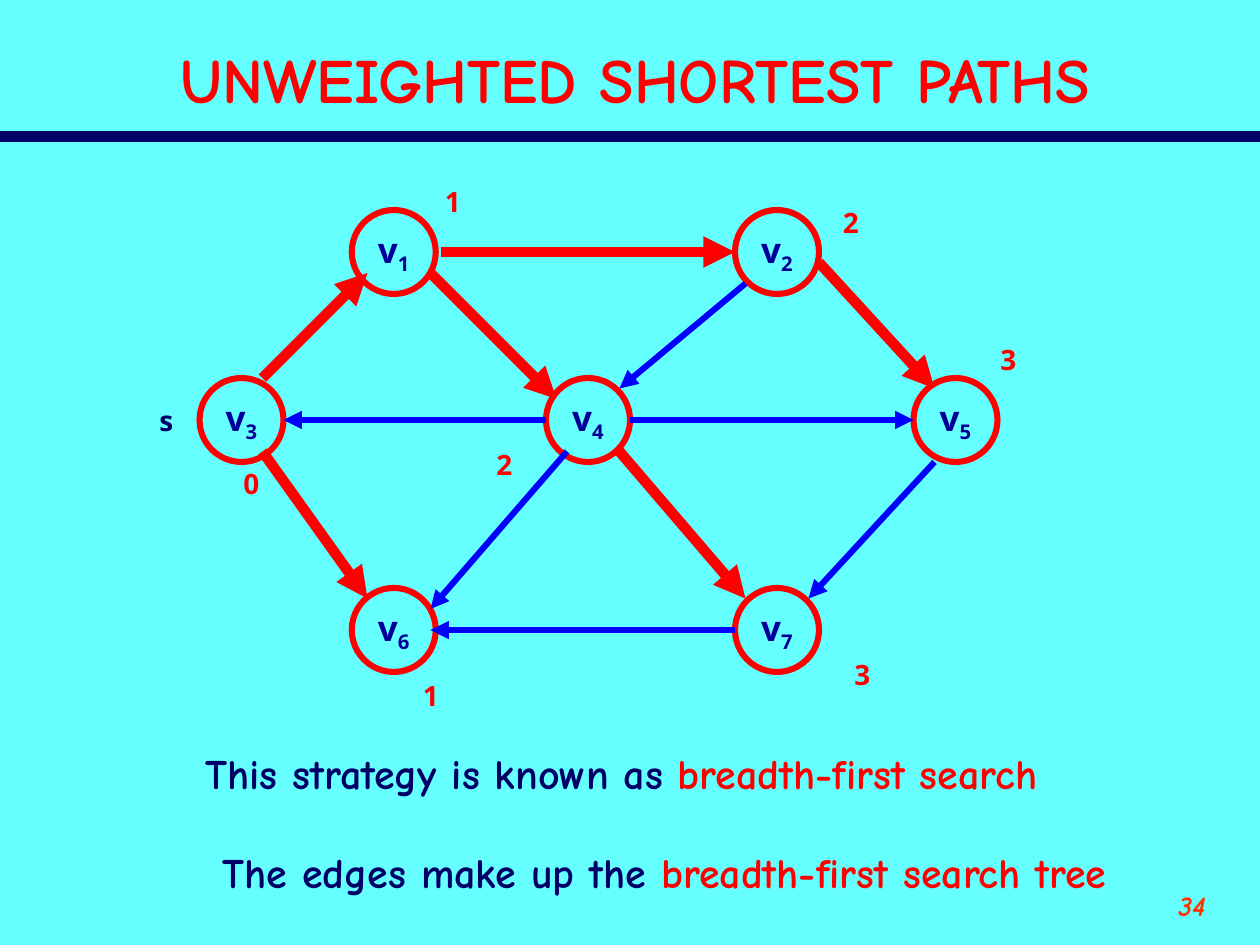
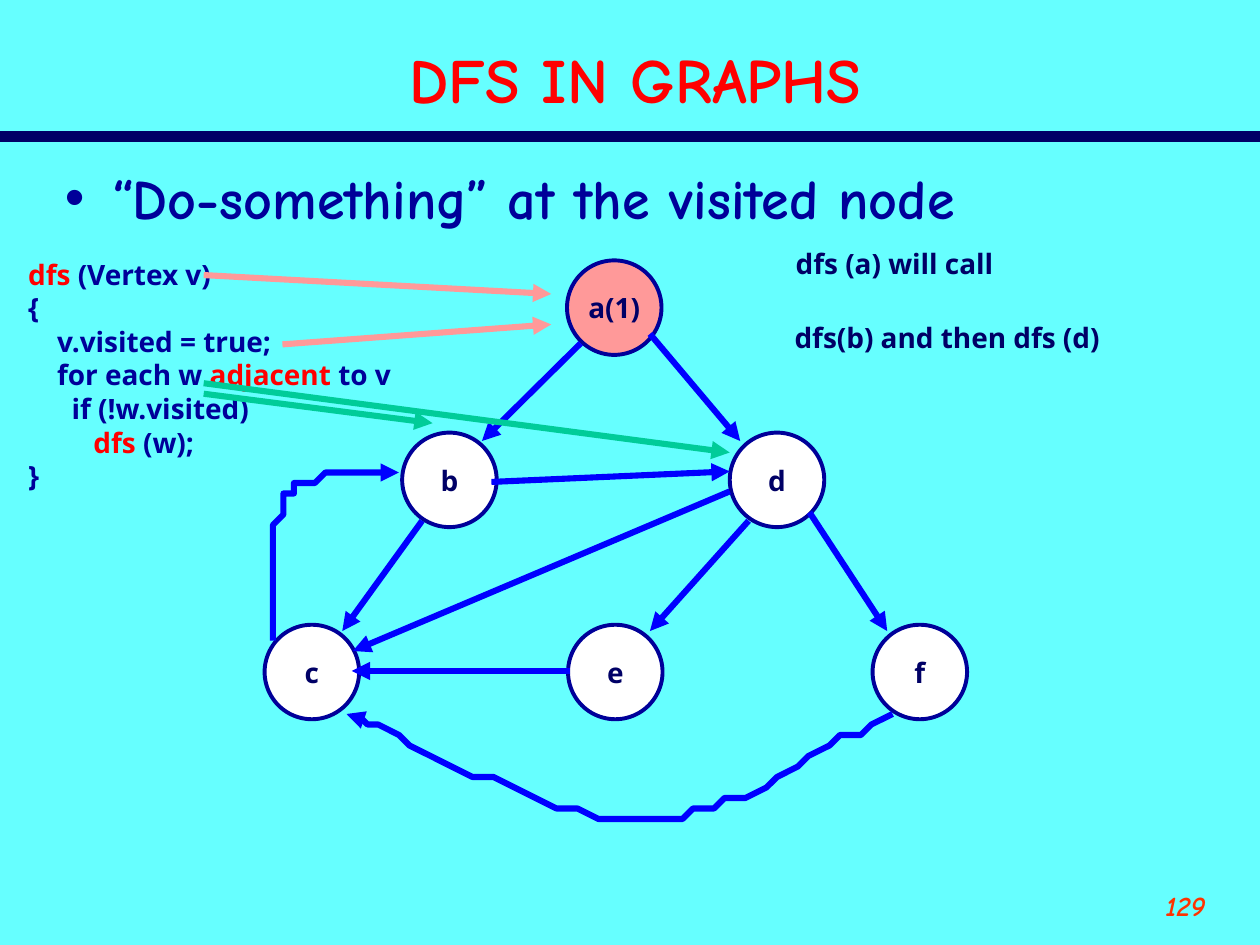
import dataclasses

import lxml.etree
import pptx
import pptx.dml.color
import pptx.enum.shapes
import pptx.enum.text
import pptx.oxml.ns
import pptx.util

ALIGN = pptx.enum.text.PP_ALIGN
ANCHOR = pptx.enum.text.MSO_ANCHOR
qualify = pptx.oxml.ns.qn


@dataclasses.dataclass(frozen=True)
class Theme:
    background: str = "66FFFF"
    navy: str = "000066"
    ink: str = "000099"
    blue: str = "0000FF"
    red: str = "FF0000"
    orange: str = "FF3300"
    pink: str = "FF9999"
    green: str = "00CC99"
    white: str = "FFFFFF"
    display: str = "Comic Neue"
    body: str = "Noto Sans"
    title_size: int = 36
    bullet_size: int = 32
    caption_size: int = 24
    vertex_size: int = 20
    small_size: int = 16
    heavy: float = 6
    medium: float = 3.5
    thin: float = 2.25


THEME = Theme()

# The slide is a grid of 120 columns and 90 rows
COLUMNS, ROWS = 120, 90
CELL = pptx.util.Inches(10) // COLUMNS


@dataclasses.dataclass(frozen=True)
class Box:
    left: float
    top: float
    width: float
    height: float

    def point(self, column, row):
        return self.left + column, self.top + row

    def inner(self, column, row, width, height):
        return Box(*self.point(column, row), width, height)

    def lengths(self):
        return [cells(value) for value in dataclasses.astuple(self)]


def cells(count):
    return pptx.util.Emu(round(count * CELL))


def color(value):
    return pptx.dml.color.RGBColor.from_string(value)


def write(shape, paragraphs, *, size, ink, font=THEME.body, italic=False,
          align=ALIGN.LEFT, anchor=ANCHOR.TOP, wrap=False):
    """Each paragraph is a list of (text, colour or None, baseline) runs or a string."""
    frame = shape.text_frame
    frame.auto_size = pptx.enum.text.MSO_AUTO_SIZE.NONE
    frame.word_wrap = wrap
    frame.vertical_anchor = anchor
    for number, runs in enumerate(paragraphs):
        paragraph = frame.add_paragraph() if number else frame.paragraphs[0]
        paragraph.alignment = align
        for text, run_ink, baseline in [(runs, None, 0)] if isinstance(runs, str) else runs:
            run = paragraph.add_run()
            run.text = text
            run.font.name, run.font.size = font, pptx.util.Pt(size)
            run.font.bold, run.font.italic = True, italic
            run.font.color.rgb = color(run_ink or ink)
            if baseline:
                run._r.get_or_add_rPr().set("baseline", str(baseline))
    return shape


def add_text(slide, box, paragraphs, **text_format):
    return write(slide.shapes.add_textbox(*box.lengths()), paragraphs, **text_format)


def style_line(shape, ink, width, arrow=True):
    shape.line.color.rgb = color(ink)
    shape.line.width = pptx.util.Pt(width)
    if arrow:
        outline = shape.element.spPr.find(qualify("a:ln"))
        lxml.etree.SubElement(outline, qualify("a:tailEnd"), type="triangle")


def add_line(slide, start, end, ink, width, arrow=True):
    line = slide.shapes.add_connector(
        pptx.enum.shapes.MSO_CONNECTOR.STRAIGHT, *map(cells, (*start, *end)))
    style_line(line, ink, width, arrow)
    lxml.etree.SubElement(line.element.spPr, qualify("a:effectLst"))
    return line


def bezier(controls, steps=16):
    """Points along cubic curves that share their end points."""
    points = [controls[0]]
    for first in range(0, len(controls) - 1, 3):
        p0, p1, p2, p3 = controls[first:first + 4]
        for step in range(1, steps + 1):
            t = step / steps
            u = 1 - t
            points.append(tuple(
                u**3 * a + 3 * u * u * t * b + 3 * u * t * t * c + t**3 * d
                for a, b, c, d in zip(p0, p1, p2, p3)))
    return points


def add_curve(slide, box, controls, ink, width):
    points = [box.point(*point) for point in bezier(controls)]
    builder = slide.shapes.build_freeform(*points[0], scale=CELL)
    builder.add_line_segments(points[1:], close=False)
    curve = builder.convert_to_shape()
    curve.shadow.inherit = False
    curve.fill.background()
    style_line(curve, ink, width)


def add_vertex(slide, box, runs, size, ink, outline, width, fill=None):
    vertex = slide.shapes.add_shape(pptx.enum.shapes.MSO_SHAPE.OVAL, *box.lengths())
    vertex.shadow.inherit = False
    if fill:
        vertex.fill.solid()
        vertex.fill.fore_color.rgb = color(fill)
    else:
        vertex.fill.background()
    style_line(vertex, outline, width, arrow=False)
    write(vertex, [runs], size=size, ink=ink, align=ALIGN.CENTER, anchor=ANCHOR.MIDDLE)


def add_edge(slide, vertices, edge, ink, width):
    """Offsets are measured from the corner of each vertex's box."""
    start, start_offset, end, end_offset = edge
    add_line(slide, vertices[start].point(*start_offset),
             vertices[end].point(*end_offset), ink, width)


def add_titled_slide(presentation, title, number):
    slide = presentation.slides.add_slide(presentation.slide_layouts[5])
    heading = slide.shapes.title
    heading.left, heading.top, heading.width, heading.height = Box(5, 3, 111, 9).lengths()
    write(heading, [title], size=THEME.title_size, ink=THEME.red, font=THEME.display,
          align=ALIGN.CENTER, anchor=ANCHOR.MIDDLE, wrap=True)
    add_text(slide, Box(104, 84, 12, 6), [number], size=THEME.small_size, ink=THEME.orange,
             font=THEME.display, italic=True, align=ALIGN.RIGHT, wrap=True)
    return slide


def style_master(presentation, slide):
    """Give the master its background and move the band under the title to it."""
    master = presentation.slide_master
    master.background.fill.solid()
    master.background.fill.fore_color.rgb = color(THEME.background)
    band = add_line(slide, (0, 13), (COLUMNS, 13), THEME.navy, THEME.heavy, arrow=False)
    master.element.cSld.spTree.append(band.element)


# Unweighted shortest paths
def add_path_graph(slide, box):
    side = 8
    upper, middle, lower = 0, 16, 36
    places = {"3": (0, middle), "1": (14.5, upper), "6": (14.5, lower), "4": (33, middle),
              "2": (51, upper), "7": (51, lower), "5": (68, middle)}
    vertices = {name: box.inner(*place, side, side) for name, place in places.items()}
    for name, vertex in vertices.items():
        add_vertex(slide, vertex, [("v", None, 0), (name, None, -25000)],
                   THEME.vertex_size, THEME.ink, THEME.red, THEME.medium)

    tree_edges = [
        ("3", (6, 0), "1", (1.5, 6)), ("3", (6, 7), "6", (1.5, 1)),
        ("1", (8.5, 4), "2", (0, 4)), ("1", (7.5, 6), "4", (1, 2)),
        ("2", (8, 5), "5", (2, 1)), ("4", (7, 7), "7", (1, 1))]
    other_edges = [
        ("4", (0, 4), "3", (8, 4)), ("2", (1, 7), "4", (7, 1)),
        ("4", (8, 4), "5", (0, 4)), ("4", (2, 7), "6", (7.5, 2)),
        ("7", (0, 4), "6", (7.5, 4)), ("5", (2, 8), "7", (7, 1))]
    for edges, ink, width in ((tree_edges, THEME.red, THEME.heavy),
                              (other_edges, THEME.blue, THEME.medium)):
        for edge in edges:
            add_edge(slide, vertices, edge, ink, width)

    # Source mark and distances
    labels = [("s", "3", (-5, 1.8)), ("0", "3", (3, 7.8)), ("1", "1", (7.7, -3)),
              ("1", "6", (5.6, 8)), ("2", "2", (9.1, -1)), ("2", "4", (-5.9, 6)),
              ("3", "5", (7.1, -4)), ("3", "7", (10.2, 6))]
    for label, name, offset in labels:
        add_text(slide, vertices[name].inner(*offset, 3.8, 4.4), [label],
                 size=THEME.small_size, ink=THEME.navy if label == "s" else THEME.red)


def add_captions(slide, box):
    captions = [
        (box.inner(0, 0, 82.1, 6), "This strategy is known as ", "breadth-first search"),
        (box.inner(1.6, 9.4, 87.4, 6), "The edges make up the ", "breadth-first search tree")]
    for place, lead, term in captions:
        add_text(slide, place, [[(lead, None, 0), (term, THEME.red, 0)]],
                 size=THEME.caption_size, ink=THEME.navy, font=THEME.display)


# Depth-first search
def add_bullet(slide, box, text):
    shape = add_text(slide, box, [text], size=THEME.bullet_size, ink=THEME.ink,
                     font=THEME.display, wrap=True)
    properties = shape.text_frame.paragraphs[0]._p.get_or_add_pPr()
    indent = cells(4.5)
    properties.set("marL", str(indent))
    properties.set("indent", str(-indent))
    bullet_color = lxml.etree.SubElement(properties, qualify("a:buClr"))
    lxml.etree.SubElement(bullet_color, qualify("a:srgbClr"), val=THEME.ink)
    lxml.etree.SubElement(properties, qualify("a:buFont"), typeface="Arial")
    lxml.etree.SubElement(properties, qualify("a:buChar"), char="•")


def add_search_graph(slide, box):
    side = 9
    middle, lower = 16.4, 34.7
    places = {"a(1)": (28.8, 0), "b": (13.1, middle), "c": (0, lower),
              "e": (28.9, lower), "f": (57.9, lower), "d": (44.3, middle)}
    vertices = {name: box.inner(*place, side, side) for name, place in places.items()}
    for name, vertex in vertices.items():
        add_vertex(slide, vertex, name, THEME.small_size, THEME.navy, THEME.ink, THEME.thin,
                   fill=THEME.pink if name == "a(1)" else THEME.white)

    edges = [
        ("a(1)", (1.3, 7.9), "b", (7.6, 0.8)), ("b", (1.9, 8.4), "c", (7.4, 0.6)),
        ("a(1)", (7.9, 7), "d", (1, 0.8)), ("d", (7.6, 7.6), "f", (1.4, 0.6)),
        ("d", (1.8, 8.4), "e", (7.8, 0.6)), ("e", (0.2, 4.4), "c", (8.3, 4.4)),
        ("d", (0, 5.6), "c", (8.4, 2.5)), ("b", (8.5, 4.7), "d", (0, 3.7))]
    for edge in edges:
        add_edge(slide, vertices, edge, THEME.blue, THEME.medium)

    f_to_c = [(59.4, 42.8), (51.4, 48), (43.4, 53.3), (34.8, 53.3),
              (26.2, 53.3), (12, 44.6), (7.4, 42.8)]
    c_to_b = [(0.7, 36.2), (0.7, 30.5), (0.6, 24.7), (2.6, 22.1),
              (4.7, 19.4), (11.4, 20.5), (13.1, 20.2)]
    for controls in (f_to_c, c_to_b):
        add_curve(slide, box, controls, THEME.blue, THEME.medium)


def add_code(slide, box):
    code = [
        [("dfs ", THEME.red, 0), ("(Vertex v)", None, 0)],
        "{",
        "    v.visited = true;",
        [("    for each w ", None, 0), ("adjacent", THEME.red, 0), (" to v", None, 0)],
        "      if (!w.visited)",
        [("         ", None, 0), ("dfs", THEME.red, 0), (" (w);", None, 0)],
        "}"]
    add_text(slide, box, code, size=THEME.small_size, ink=THEME.ink)

    # Pointers from the code to the graph
    pointers = [((17.9, 2.3), (51, 4.1), THEME.pink), ((25.4, 8.9), (51, 7), THEME.pink),
                ((17.9, 13.6), (39.7, 16.4), THEME.green),
                ((17.9, 12.6), (68, 19.2), THEME.green)]
    for start, end, ink in pointers:
        add_line(slide, box.point(*start), box.point(*end), ink, THEME.medium)


def add_call_notes(slide, box):
    for place, text in ((box.inner(0, 7, 31.4, 4.4), "dfs(b) and then dfs (d)"),
                        (box.inner(0.1, 0, 21.2, 4.4), "dfs (a) will call")):
        add_text(slide, place, [text], size=THEME.small_size, ink=THEME.navy)


def main():
    presentation = pptx.Presentation()
    presentation.slide_width, presentation.slide_height = cells(COLUMNS), cells(ROWS)

    paths = add_titled_slide(presentation, "UNWEIGHTED SHORTEST PATHS", "34")
    style_master(presentation, paths)
    add_path_graph(paths, Box(19, 20, 76, 44))
    add_captions(paths, Box(18.4, 70.6, 90, 16))

    search = add_titled_slide(presentation, "DFS IN GRAPHS", "129")
    add_bullet(search, Box(5, 15, 111, 8), "“Do-something” at the visited node")
    add_search_graph(search, Box(25.2, 24.8, 67, 53.3))
    add_code(search, Box(1.5, 23.9, 37, 26.9))
    add_call_notes(search, Box(74.5, 22.9, 32, 11.4))

    presentation.save("out.pptx")


if __name__ == "__main__":
    main()
